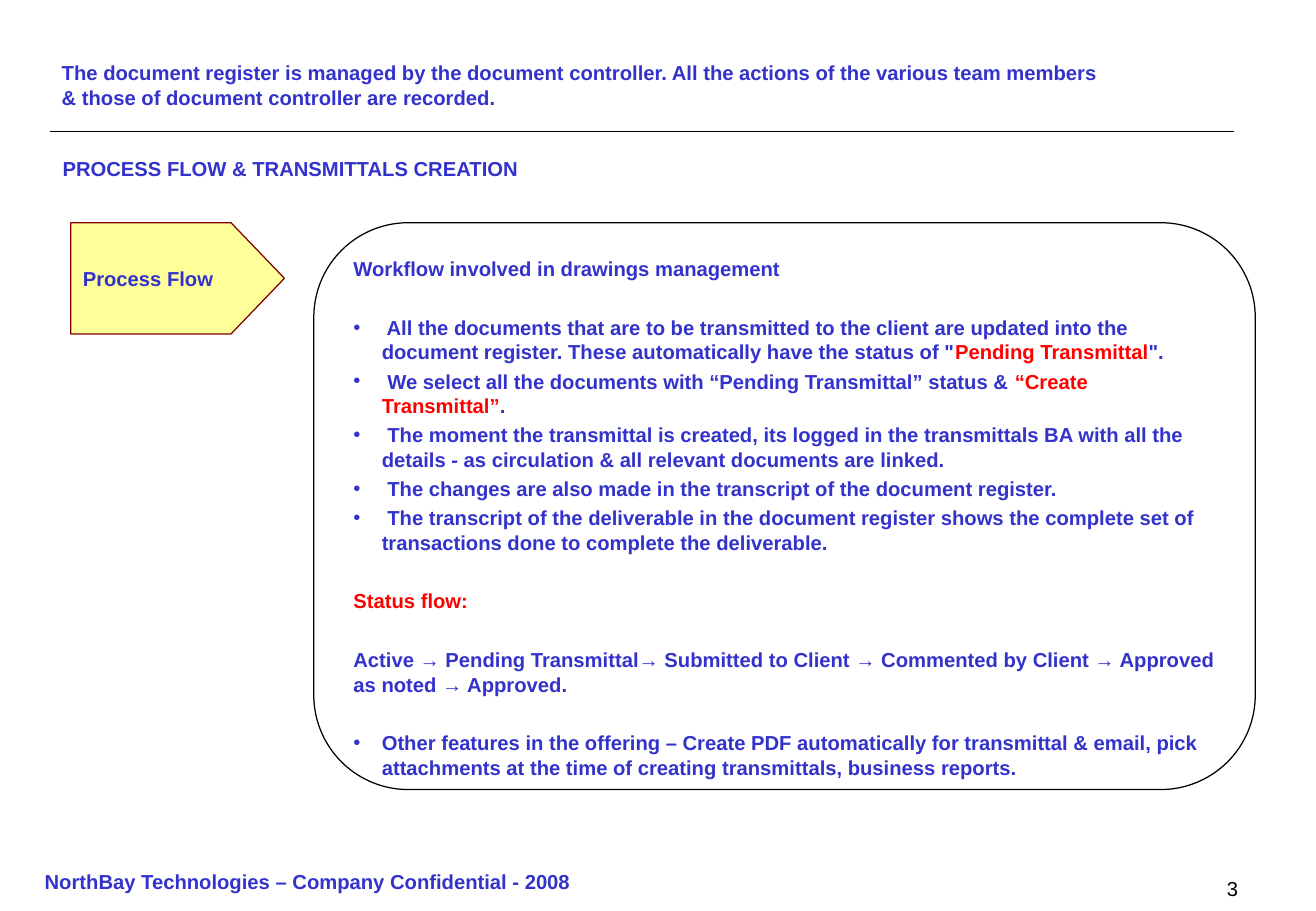
from collections import namedtuple
from dataclasses import dataclass

from lxml.etree import SubElement
from pptx import Presentation
from pptx.dml.color import RGBColor
from pptx.enum.shapes import MSO_CONNECTOR as Connector, MSO_SHAPE as Preset
from pptx.enum.text import MSO_ANCHOR as Anchor, MSO_AUTO_SIZE as AutoSize, PP_ALIGN as Align
from pptx.oxml.ns import qn
from pptx.util import Emu, Pt

EMU_PER_PX = 7620
Box = namedtuple("Box", "left top width height")


@dataclass(frozen=True)
class Theme:
    font: str = "Arial"
    blue: str = "3333CC"
    red: str = "FF0000"
    black: str = "000000"
    yellow: str = "FFFF99"
    maroon: str = "800000"
    body_size: int = 12
    paragraph_gap: int = 3
    section_gap: float = 20.5


THEME = Theme()


def px(length):
    return Emu(length * EMU_PER_PX)


def emu(box):
    return [px(length) for length in box]


def inside(outer, left, top, width, height):
    return Box(outer.left + left, outer.top + top, width, height)


def add_run(paragraph, text, color=THEME.blue, bold=True):
    run = paragraph.add_run()
    run.text = text
    run.font.name = THEME.font
    run.font.size = Pt(THEME.body_size)
    run.font.bold = bold
    run.font.color.rgb = RGBColor.from_string(color)


def set_frame(frame, anchor, align=Align.LEFT, side=12, top=6, bottom=6):
    frame.auto_size = AutoSize.NONE
    frame.word_wrap = True
    frame.vertical_anchor = anchor
    frame.margin_left = frame.margin_right = px(side)
    frame.margin_top, frame.margin_bottom = px(top), px(bottom)
    first = frame.paragraphs[0]
    first.alignment = align
    return first


def add_label(slide, box, anchor, **frame_options):
    label = slide.shapes.add_textbox(*emu(box))
    return set_frame(label.text_frame, anchor, **frame_options)


def add_outlined(slide, preset, box, line, fill=None):
    shape = slide.shapes.add_shape(preset, *emu(box))
    shape.shadow.inherit = False
    if fill:
        shape.fill.solid()
        shape.fill.fore_color.rgb = RGBColor.from_string(fill)
    else:
        shape.fill.background()
    shape.line.color.rgb = RGBColor.from_string(line)
    shape.line.width = Pt(0.75)
    return shape


def set_bullet(paragraph, hang=28):
    props = paragraph._p.get_or_add_pPr()
    props.set("marL", str(px(hang)))
    props.set("indent", str(-px(hang)))
    color = SubElement(props, qn("a:buClr"))
    SubElement(color, qn("a:srgbClr"), val=THEME.blue)
    SubElement(props, qn("a:buFont"), typeface=THEME.font)
    SubElement(props, qn("a:buChar"), char="•")


def build_header(slide, box):
    title = slide.shapes.title
    title.left, title.top, title.width, title.height = emu(inside(box, 0, 0, 1050, 70))
    headline = set_frame(title.text_frame, Anchor.BOTTOM, bottom=12)
    add_run(headline, "The document register is managed by the document controller. "
            "All the actions of the various team members & those of document "
            "controller are recorded.")

    rule_y = px(box.top + 80)
    rule = slide.shapes.add_connector(Connector.STRAIGHT, px(box.left), rule_y,
                                      px(box.left + box.width), rule_y)
    rule.line.color.rgb = RGBColor.from_string(THEME.black)
    rule.line.width = Pt(1)
    SubElement(rule._element.spPr, qn("a:effectLst"))

    subtitle = add_label(slide, inside(box, 1, 70, box.width, 70), Anchor.BOTTOM, bottom=12)
    add_run(subtitle, "PROCESS FLOW & TRANSMITTALS CREATION")


def build_process_tag(slide, box):
    tag = add_outlined(slide, Preset.PENTAGON, box, THEME.maroon, THEME.yellow)
    tag.adjustments[0] = 0.48
    add_run(set_frame(tag.text_frame, Anchor.MIDDLE), "Process Flow")


def build_workflow(slide, box):
    blue, red = THEME.blue, THEME.red
    close, section = THEME.paragraph_gap, THEME.section_gap
    workflow = [
        (False, close, [("Workflow involved in drawings management", blue)]),
        (True, section, [
            (" All the documents that are to be transmitted to the client are updated into "
             "the document register. These automatically have the status of \"", blue),
            ("Pending Transmittal", red), ("\".", blue)]),
        (True, close, [
            (" We select all the documents with “Pending Transmittal” status & ", blue),
            ("“Create Transmittal”", red), (".", blue)]),
        (True, close, [
            (" The moment the transmittal is created, its logged in the transmittals BA with "
             "all the details - as circulation & all relevant documents are linked.", blue)]),
        (True, close, [
            (" The changes are also made in the transcript of the document register.", blue)]),
        (True, close, [
            (" The transcript of the deliverable in the document register shows the complete "
             "set of transactions done to complete the deliverable.", blue)]),
        (False, section, [("Status flow:", red)]),
        (False, section, [
            ("Active → Pending Transmittal→ Submitted to Client → Commented by Client → "
             "Approved as noted → Approved.", blue)]),
        (True, section, [
            ("Other features in the offering – Create PDF automatically for transmittal & "
             "email, pick attachments at the time of creating transmittals, business "
             "reports.", blue)]),
    ]
    panel = add_outlined(slide, Preset.FLOWCHART_ALTERNATE_PROCESS, box, THEME.black)
    frame = panel.text_frame
    paragraph = set_frame(frame, Anchor.TOP)
    for index, (bulleted, gap, parts) in enumerate(workflow):
        if index:
            paragraph = frame.add_paragraph()
            paragraph.alignment = Align.LEFT
        paragraph.space_before = Pt(gap)
        if bulleted:
            set_bullet(paragraph)
        for text, color in parts:
            add_run(paragraph, text, color)


def build_footer(slide, box):
    notice = add_label(slide, inside(box, 0, 0, 570, 41), Anchor.MIDDLE,
                       align=Align.CENTER, side=6)
    add_run(notice, "NorthBay Technologies – Company Confidential - 2008")
    page_number = add_label(slide, inside(box, 945, 10, 271, 30), Anchor.TOP,
                            align=Align.RIGHT)
    add_run(page_number, "3", THEME.black, bold=False)


def main():
    deck = Presentation()
    deck.slide_width, deck.slide_height = px(1300), px(900)
    slide = deck.slides.add_slide(deck.slide_layouts[5])
    build_header(slide, Box(49, 50, 1170, 140))
    build_process_tag(slide, Box(70, 220, 211, 110))
    build_workflow(slide, Box(310, 220, 930, 560))
    build_footer(slide, Box(19, 850, 1216, 41))
    deck.save("out.pptx")


if __name__ == "__main__":
    main()
